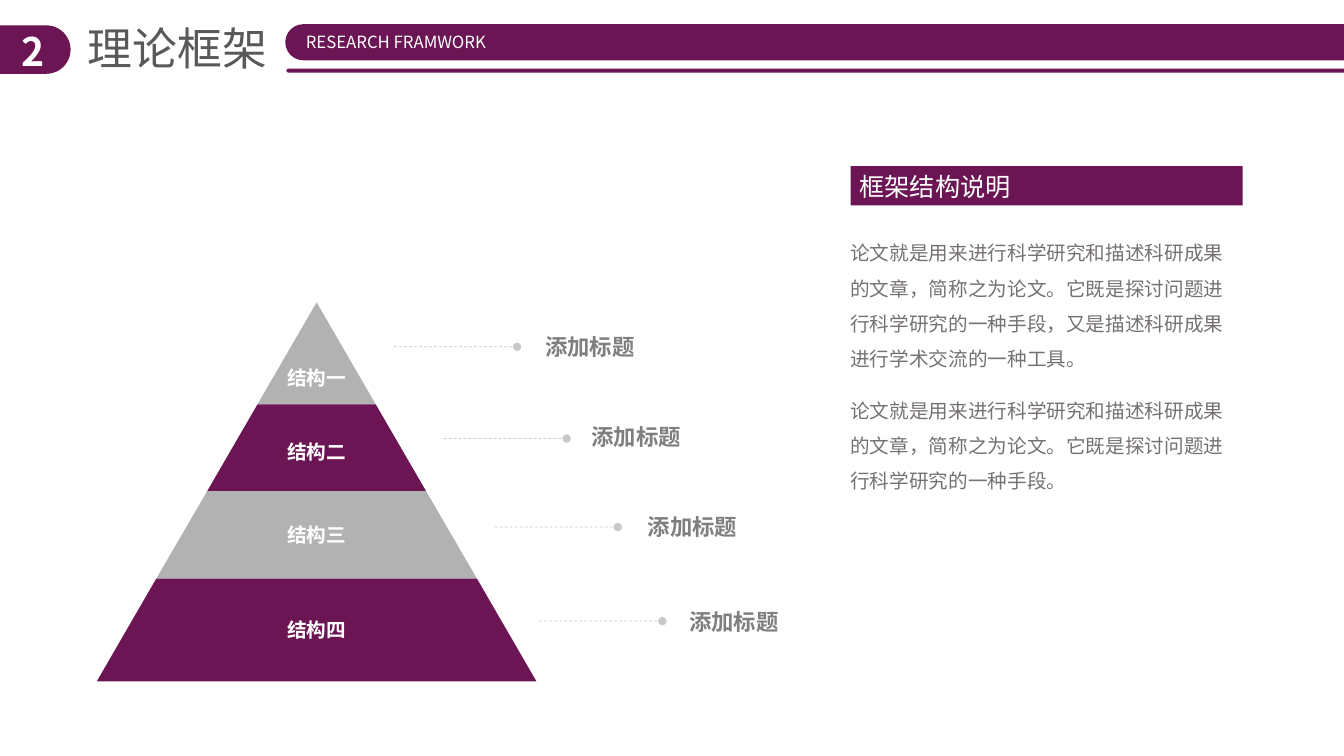
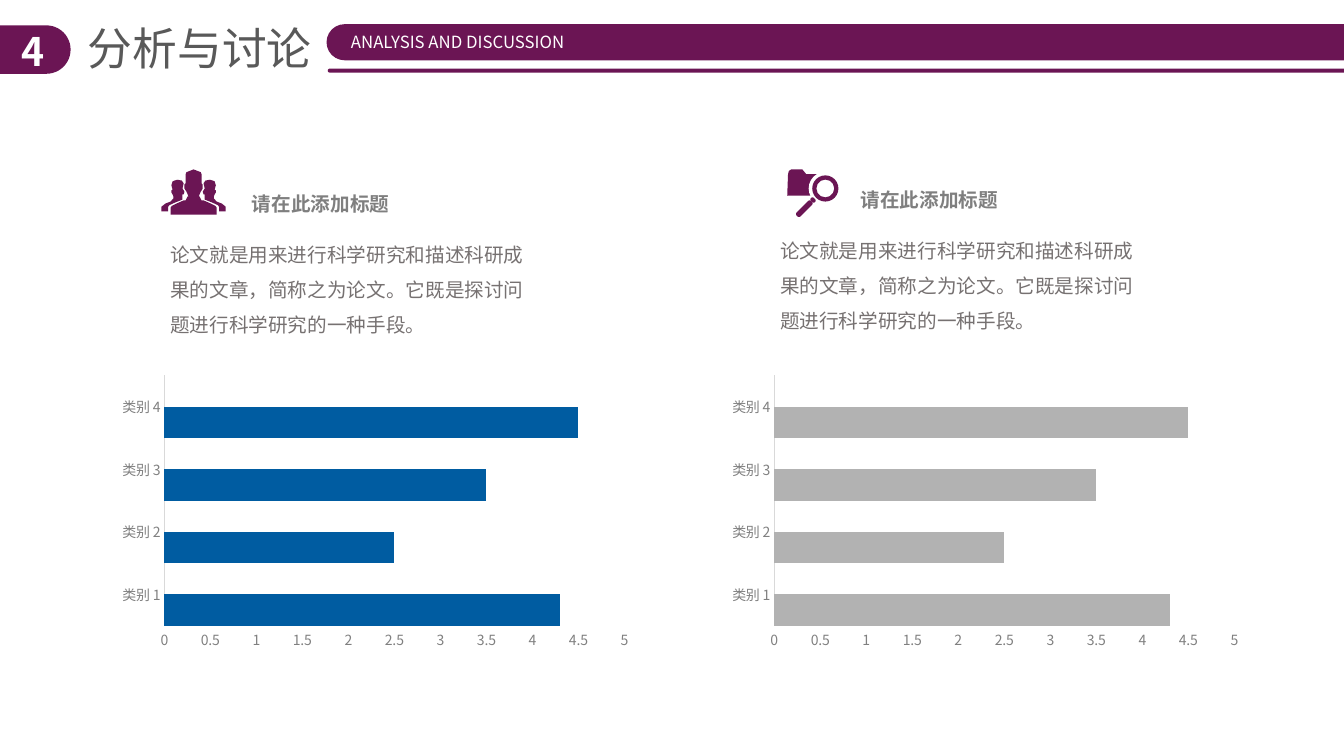
from lxml import etree
from pptx import Presentation
from pptx.chart.data import CategoryChartData
from pptx.dml.color import RGBColor
from pptx.enum.chart import XL_CHART_TYPE, XL_TICK_MARK
from pptx.enum.dml import MSO_LINE
from pptx.enum.shapes import MSO_CONNECTOR, MSO_SHAPE
from pptx.enum.text import PP_ALIGN
from pptx.oxml.ns import qn
from pptx.util import Cm, Pt

PLUM = RGBColor(0x6B, 0x15, 0x54)
SILVER = RGBColor(0xB2, 0xB2, 0xB2)
BLUE = RGBColor(0x00, 0x5C, 0xA1)
ORANGE = RGBColor(0xED, 0x7D, 0x31)
ASH = RGBColor(0xA5, 0xA5, 0xA5)
AXIS_LINE = RGBColor(0xD9, 0xD9, 0xD9)
AXIS_TEXT = RGBColor(0x80, 0x80, 0x80)
LABEL_GRAY = RGBColor(0x7F, 0x7F, 0x7F)
BODY_GRAY = RGBColor(0x76, 0x71, 0x71)
TITLE_GRAY = RGBColor(0x59, 0x59, 0x59)
WHITE = RGBColor(0xFF, 0xFF, 0xFF)
FONT = "Noto Sans CJK SC"

RECT = MSO_SHAPE.RECTANGLE
ROUNDED = MSO_SHAPE.ROUNDED_RECTANGLE
OVAL = MSO_SHAPE.OVAL
DONUT = MSO_SHAPE.DONUT
STRAIGHT = MSO_CONNECTOR.STRAIGHT
DASH = MSO_LINE.DASH
CENTER = PP_ALIGN.CENTER
LEFT = PP_ALIGN.LEFT
BARS = XL_CHART_TYPE.BAR_CLUSTERED
NO_TICK = XL_TICK_MARK.NONE
OUTLINE_UNIT = Cm(0.01)  # outline points are hundredths of a centimetre


def paint(shape, color):
    shape.shadow.inherit = False
    shape.fill.solid()
    shape.fill.fore_color.rgb = color
    shape.line.fill.background()
    return shape


def write(page, text, place, size, color, bold=False, align=LEFT, wrap=False, spacing=None):
    box = page.shapes.add_textbox(*[Cm(length) for length in place])
    box.text_frame.word_wrap = wrap
    box.text_frame.text = text
    para = box.text_frame.paragraphs[0]
    para.alignment = align
    para.line_spacing = spacing
    span = para.runs[0]
    span.font.size = Pt(size)
    span.font.bold = bold
    span.font.color.rgb = color
    span.font.name = FONT
    east_asian = etree.SubElement(span.font.fill._xPr, qn("a:ea"))
    east_asian.set("typeface", FONT)


deck = Presentation()
deck.slide_width = Cm(33.87)
deck.slide_height = Cm(19.05)

# Shared header: number, title, title width, band left, English title, its left and width
HEADERS = [
    ("2", "理论框架", 5.08, 7.19, "RESEARCH FRAMWORK", 7.29, 5.38),
    ("4", "分析与讨论", 6.22, 8.23, "ANALYSIS AND DISCUSSION", 8.36, 6.35),
]
pages = []
for number, title, title_width, band_left, english, english_left, english_width in HEADERS:
    page = deck.slides.add_slide(deck.slide_layouts[6])
    pages.append(page)
    for place in [
        (-0.71, 0.64, 2.49, 1.22),
        (band_left, 0.61, 28.02, 0.91),
        (band_left + 0.03, 1.73, 28.02, 0.1),
    ]:
        band = page.shapes.add_shape(ROUNDED, *[Cm(length) for length in place])
        paint(band, PLUM).adjustments[0] = 0.5
    write(page, number, (0.18, 0.56, 1.3, 1.45), 28, WHITE, bold=True, align=CENTER, wrap=True)
    write(page, title, (1.96, 0.41, title_width, 1.63), 32, TITLE_GRAY)
    write(page, english, (english_left, 0.68, english_width, 0.76), 12, WHITE, align=CENTER)

framework, analysis = pages

# Pyramid: the sides follow one slope from apex to base
APEX_X, APEX_Y = 7.98, 7.62
BASE_Y, BASE_HALF = 17.17, 5.54
tier_edges = [APEX_Y, 10.19, 12.38, 14.58, BASE_Y]
tiers = [("结构一", 9.09, SILVER), ("结构二", 10.95, PLUM),
         ("结构三", 13.06, SILVER), ("结构四", 15.44, PLUM)]
for (label, label_top, color), top, bottom in zip(tiers, tier_edges, tier_edges[1:]):
    top_half, bottom_half = [BASE_HALF * (edge - APEX_Y) / (BASE_Y - APEX_Y)
                             for edge in (top, bottom)]
    corners = [(APEX_X - top_half, top), (APEX_X + top_half, top),
               (APEX_X + bottom_half, bottom), (APEX_X - bottom_half, bottom)]
    corners = [(round(x * 100), round(y * 100)) for x, y in corners]
    outline = framework.shapes.build_freeform(*corners[0], scale=OUTLINE_UNIT)
    outline.add_line_segments(corners[1:])
    paint(outline.convert_to_shape(), color)
    write(framework, label, (6.99, label_top, 2.01, 0.86), 14, WHITE, bold=True)

# Dashed leaders with their titles
LEADER_LENGTH = 3.1
leaders = [(9.93, 8.74, 13.49, 8.28), (11.18, 11.05, 14.66, 10.54),
           (12.47, 13.28, 16.08, 12.8), (13.59, 15.65, 17.12, 15.19)]
for left, middle, title_left, title_top in leaders:
    leader = framework.shapes.add_connector(
        STRAIGHT, Cm(left), Cm(middle), Cm(left + LEADER_LENGTH), Cm(middle))
    leader.line.color.rgb = SILVER
    leader.line.width = Pt(0.5)
    leader.line.dash_style = DASH
    line_xml = leader.line._get_or_add_ln()
    alpha = etree.SubElement(line_xml.find(".//" + qn("a:srgbClr")), qn("a:alpha"))
    alpha.set("val", "70000")
    etree.SubElement(line_xml, qn("a:tailEnd")).set("type", "oval")
    etree.SubElement(leader._element.spPr, qn("a:effectLst"))
    write(framework, "添加标题", (title_left, title_top, 2.79, 0.94), 16, LABEL_GRAY, bold=True)

# Explanation column
paint(framework.shapes.add_shape(RECT, Cm(21.44), Cm(4.19), Cm(9.88), Cm(0.99)), PLUM)
write(framework, "框架结构说明", (21.41, 4.19, 4.37, 1.02), 18, WHITE, wrap=True)
SHORT_TEXT = "论文就是用来进行科学研究和描述科研成果的文章，简称之为论文。它既是探讨问题进行科学研究的一种手段"
explanations = [
    (SHORT_TEXT + "，又是描述科研成果进行学术交流的一种工具。", 5.66, 3.84),
    (SHORT_TEXT + "。", 9.63, 2.95),
]
for text, top, height in explanations:
    write(framework, text, (21.18, top, 10.24, height), 14, BODY_GRAY, wrap=True, spacing=1.5)

# Team icon: outlines are offsets from the middle axis
TEAM_AXIS = 488
leader_half = [(0, 427), (13, 432), (18, 434), (20, 439), (20, 462), (23, 465), (23, 475),
               (20, 480), (18, 483), (15, 490), (13, 495), (15, 495), (20, 505), (25, 505),
               (43, 513), (55, 519), (58, 523), (58, 541)]
member = [(81, 533), (81, 521), (71, 513), (58, 508), (51, 500), (51, 495), (53, 490),
          (56, 485), (56, 480), (53, 478), (56, 467), (53, 457), (48, 455), (41, 453),
          (30, 455), (25, 462), (28, 475), (23, 483), (25, 490), (28, 490), (28, 503),
          (48, 511), (61, 517), (64, 521), (64, 533)]
mirrored_half = [(-x, y) for x, y in reversed(leader_half)]
mirrored_member = [(-x, y) for x, y in member]
team = [[(TEAM_AXIS + x, y) for x, y in person]
        for person in (leader_half + mirrored_half, member, mirrored_member)]

# Folder of the search icon
folder = [(1984, 493), (1986, 439), (1988, 431), (1994, 427), (2022, 427), (2032, 439),
          (2070, 439), (2070, 493)]
for points in team + [folder]:
    outline = analysis.shapes.build_freeform(*points[0], scale=OUTLINE_UNIT)
    outline.add_line_segments(points[1:])
    paint(outline.convert_to_shape(), PLUM)

# Magnifier of the search icon: halo, lens, handle and its neck
LENS_X, LENS_Y = 20.8, 4.75
for kind, radius, color in [(OVAL, 0.42, WHITE), (DONUT, 0.33, PLUM)]:
    lens = analysis.shapes.add_shape(
        kind, Cm(LENS_X - radius), Cm(LENS_Y - radius), Cm(2 * radius), Cm(2 * radius))
    paint(lens, color)
lens.adjustments[0] = 0.16
for middle_x, middle_y, length in [(20.27, 5.26, 0.52), (20.49, 5.04, 0.1)]:
    handle = analysis.shapes.add_shape(
        ROUNDED, Cm(middle_x - length / 2), Cm(middle_y - 0.07), Cm(length), Cm(0.14))
    paint(handle, PLUM).adjustments[0] = 0.4
    handle.rotation = -45

# Two columns: heading, text and bar chart
columns = [
    ((6.1, 4.7), (4.04, 5.69, 9.53, 2.95), 2.82, BLUE),
    ((21.44, 4.6), (19.41, 5.59, 9.75, 2.95), 18.19, SILVER),
]
chart_data = CategoryChartData()
chart_data.categories = ["类别 1", "类别 2", "类别 3", "类别 4"]
chart_data.add_series("Series 1", (4.3, 2.5, 3.5, 4.5))
chart_data.add_series("Series 2", (None,) * 4)
chart_data.add_series("Series 3", (None,) * 4)

for heading_place, text_place, chart_left, bar_color in columns:
    write(analysis, "请在此添加标题", (*heading_place, 4.01, 0.86), 14, LABEL_GRAY, bold=True)
    write(analysis, SHORT_TEXT + "。", text_place, 14, BODY_GRAY, wrap=True, spacing=1.5)
    chart = analysis.shapes.add_chart(
        BARS, Cm(chart_left), Cm(9.32), Cm(13.28), Cm(7.19), chart_data).chart
    chart.has_legend = False
    chart.has_title = False
    chart.font.size = Pt(10)
    chart.font.name = "Calibri"
    plot = chart.plots[0]
    plot.vary_by_categories = False
    plot.gap_width = 0
    plot.overlap = 50
    for series, color in zip(plot.series, (bar_color, ORANGE, ASH)):
        series.invert_if_negative = False
        series.format.fill.solid()
        series.format.fill.fore_color.rgb = color
    for axis in (chart.category_axis, chart.value_axis):
        axis.has_major_gridlines = False
        axis.major_tick_mark = NO_TICK
        axis.minor_tick_mark = NO_TICK
        axis.tick_labels.font.size = Pt(10)
        axis.tick_labels.font.name = FONT
        axis.tick_labels.font.color.rgb = AXIS_TEXT
    chart.category_axis.format.line.color.rgb = AXIS_LINE
    chart.category_axis.format.line.width = Pt(0.75)
    chart.value_axis.format.line.fill.background()
    chart.value_axis.minimum_scale = 0
    chart.value_axis.maximum_scale = 5
    chart.value_axis.major_unit = 0.5

deck.save("out.pptx")
